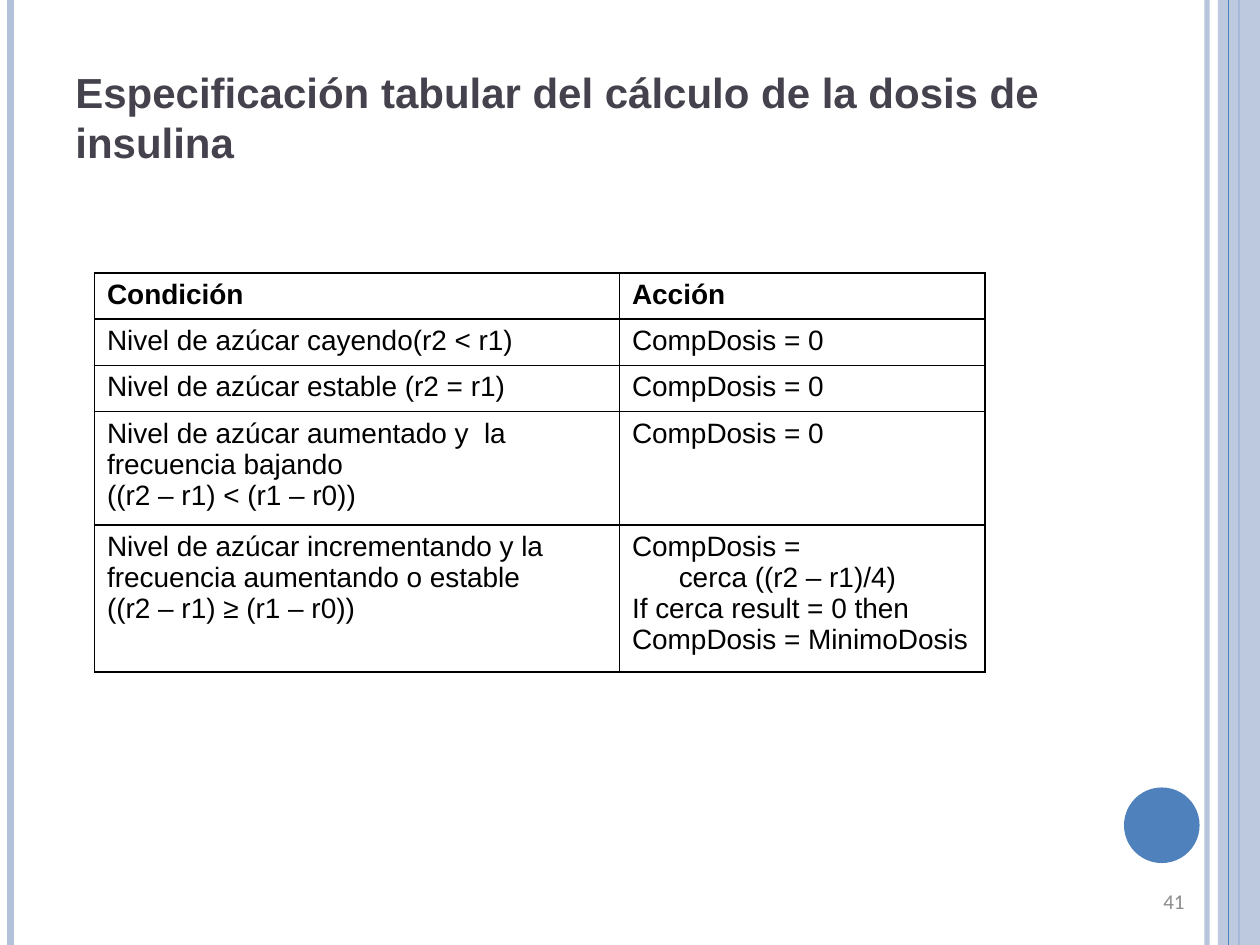
import pptx
import pptx.util
import pptx.dml.color
import pptx.enum.shapes
import pptx.enum.text
import pptx.oxml
import pptx.oxml.ns

Pt = pptx.util.Pt
RGB = pptx.dml.color.RGBColor
Kind = pptx.enum.shapes.MSO_SHAPE
Align = pptx.enum.text.PP_ALIGN
qn = pptx.oxml.ns.qn

PALE = RGB(0xB3, 0xC1, 0xDB)
BLUE = RGB(0x4F, 0x81, 0xBD)
DARK = RGB(0x46, 0x42, 0x4D)
GREY = RGB(0x8B, 0x8B, 0x8B)
BLACK = RGB(0, 0, 0)
WIDE, HIGH = 720, 540

# Content: a cell is a list of paragraphs, each (text, left indent); \v breaks a line
TITLE = "Especificación tabular del cálculo de la dosis de insulina"
NUMBER = "41"
ZERO = [("CompDosis = 0", 0)]
ROWS = [
    ([("Condición", 0)], [("Acción", 0)]),
    ([("Nivel de azúcar cayendo(r2 < r1)", 0)], ZERO),
    ([("Nivel de azúcar estable (r2 = r1)", 0)], ZERO),
    ([("Nivel de azúcar aumentado y  la frecuencia bajando\v((r2 – r1) < (r1 – r0))", 0)], ZERO),
    ([("Nivel de azúcar incrementando y la frecuencia aumentando o estable"
       "\v((r2 – r1) ≥ (r1 – r0))", 0)],
     [("CompDosis =", 0), ("cerca ((r2 – r1)/4)", 26.7),
      ("If cerca result = 0 then", 0), ("CompDosis = MinimoDosis", 0)]),
]
COLS = [300, 209]
TALL = [25, 25, 25, 60.5, 78.5]

# Vertical rules: x, colour, width, opacity in percent
BACK = [(689.8, PALE, 3, 93), (6, PALE, 4.5, 100), (708, BLUE, 1.5, 100)]
FRONT = [(702, BLUE, 0.75, 100)]

deck = pptx.Presentation()
deck.slide_width, deck.slide_height = Pt(WIDE), Pt(HIGH)
slide = deck.slides.add_slide(deck.slide_layouts[6])
shapes = slide.shapes


def fade(part, rate):
    color = part.find(".//" + qn("a:srgbClr"))
    pptx.oxml.xmlchemy.OxmlElement  # element factory used below
    alpha = pptx.oxml.xmlchemy.OxmlElement("a:alpha")
    alpha.set("val", str(rate * 1000))
    color.append(alpha)


def rule(x, color, width, rate):
    line = shapes.add_connector(
        pptx.enum.shapes.MSO_CONNECTOR.STRAIGHT, Pt(x), Pt(0), Pt(x), Pt(HIGH))
    line.line.color.rgb = color
    line.line.width = Pt(width)
    props = line._element.spPr
    if rate < 100:
        fade(props, rate)
    props.append(pptx.oxml.xmlchemy.OxmlElement("a:effectLst"))


def solid(kind, box, color):
    shape = shapes.add_shape(kind, *map(Pt, box))
    shape.shadow.inherit = False
    shape.fill.solid()
    shape.fill.fore_color.rgb = color
    shape.line.fill.background()
    return shape


def style(para, size, color, bold=False, face="Arial", align=Align.LEFT):
    para.alignment = align
    font = para.font
    font.name, font.size, font.bold = face, Pt(size), bold
    font.color.rgb = color


def label(box, text, *look):
    frame = shapes.add_textbox(*map(Pt, box)).text_frame
    frame.word_wrap = True
    frame.vertical_anchor = pptx.enum.text.MSO_ANCHOR.MIDDLE
    frame.text = text
    style(frame.paragraphs[0], *look)


def border(cell):
    props = cell._tc.get_or_add_tcPr()
    for spot, side in enumerate(("a:lnL", "a:lnR", "a:lnT", "a:lnB")):
        edge = pptx.oxml.xmlchemy.OxmlElement(side)
        edge.set("w", str(Pt(1)))
        fill = pptx.oxml.xmlchemy.OxmlElement("a:solidFill")
        color = pptx.oxml.xmlchemy.OxmlElement("a:srgbClr")
        color.set("val", str(BLACK))
        fill.append(color)
        edge.append(fill)
        props.insert(spot, edge)


# Side bands and dot
for item in BACK:
    rule(*item)
fade(solid(Kind.RECTANGLE, (696, 0, 24, HIGH), PALE)._element.spPr, 87)
for item in FRONT:
    rule(*item)
solid(Kind.OVAL, (642.3, 450, 43.2, 43.2), BLUE)

# Title and page number
label((36, 21.6, 574.5, 90), TITLE, 24, DARK, True)
label((516, 500.5, 168, 28.8), NUMBER, 12, GREY, False, "Calibri", Align.RIGHT)

# Table
table = shapes.add_table(len(ROWS), len(COLS), Pt(54), Pt(156),
                         Pt(sum(COLS)), Pt(sum(TALL))).table
table.horz_banding = False
for col, width in zip(table.columns, COLS):
    col.width = Pt(width)
for at, (row, tall) in enumerate(zip(ROWS, TALL)):
    table.rows[at].height = Pt(tall)
    for cell, paras in zip(table.rows[at].cells, row):
        cell.fill.background()
        border(cell)
        cell.text_frame.text = "\n".join(text for text, _ in paras)
        for para, (_, indent) in zip(cell.text_frame.paragraphs, paras):
            style(para, 16, BLACK, at == 0)
            if indent:
                para._p.get_or_add_pPr().set("marL", str(Pt(indent)))

deck.save("out.pptx")
